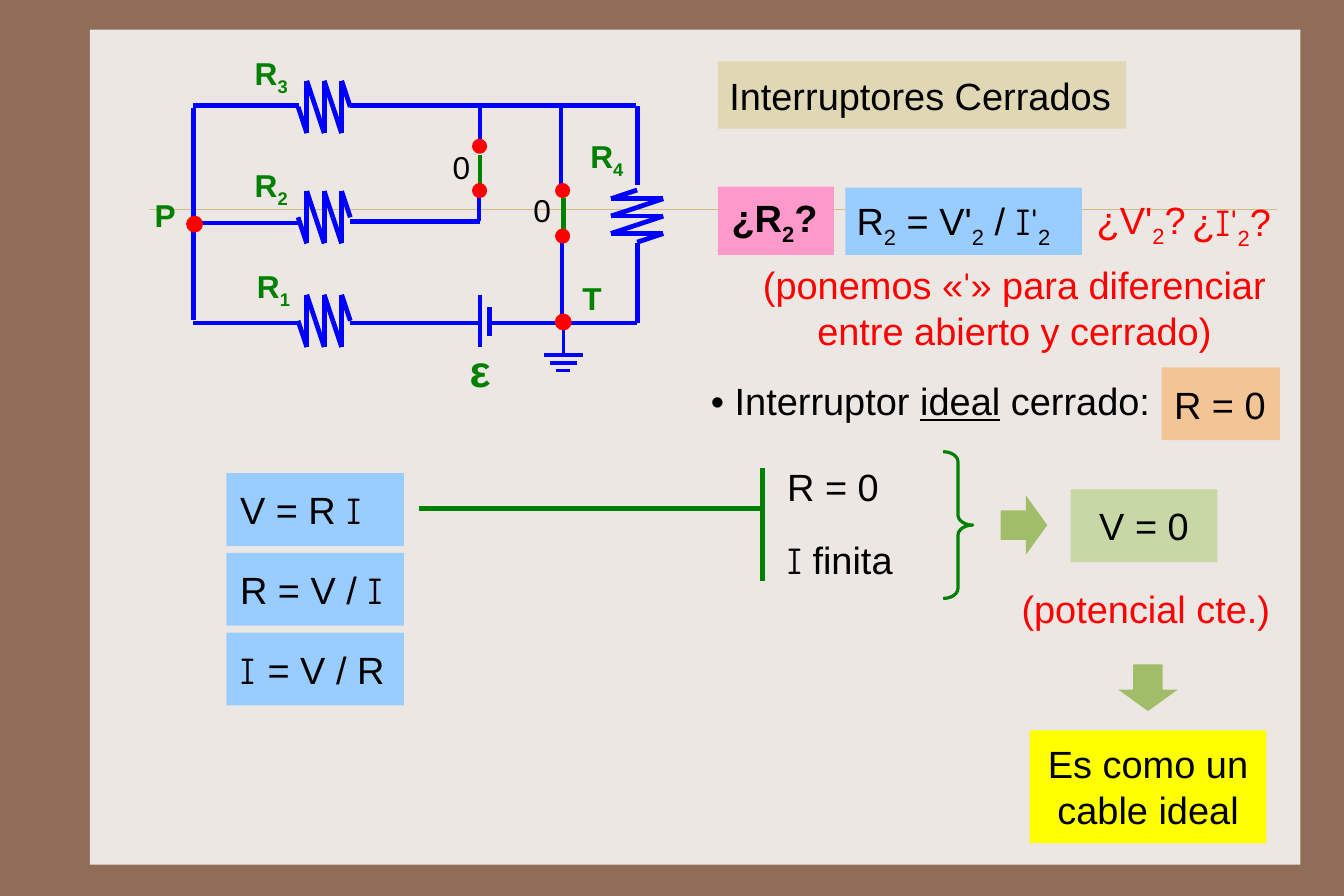
from lxml import etree
from pptx import Presentation
from pptx.dml.color import RGBColor
from pptx.enum.shapes import MSO_CONNECTOR, MSO_SHAPE
from pptx.enum.text import MSO_ANCHOR, MSO_AUTO_SIZE, PP_ALIGN
from pptx.oxml.ns import qn
from pptx.util import Inches, Pt

STRAIGHT = MSO_CONNECTOR.STRAIGHT
RECTANGLE, OVAL = MSO_SHAPE.RECTANGLE, MSO_SHAPE.OVAL
DOWN_ARROW, RIGHT_BRACE = MSO_SHAPE.DOWN_ARROW, MSO_SHAPE.RIGHT_BRACE
TOP, MIDDLE = MSO_ANCHOR.TOP, MSO_ANCHOR.MIDDLE
LEFT, CENTER = PP_ALIGN.LEFT, PP_ALIGN.CENTER
GROW, FIXED = MSO_AUTO_SIZE.SHAPE_TO_FIT_TEXT, MSO_AUTO_SIZE.NONE

BROWN = RGBColor(0x90, 0x6D, 0x58)
CREAM = RGBColor(0xED, 0xE7, 0xE3)
SAND = RGBColor(0xCB, 0xBD, 0x83)
BEIGE = RGBColor(0xE0, 0xD7, 0xB5)
BLACK = RGBColor(0x00, 0x00, 0x00)
RED = RGBColor(0xFF, 0x00, 0x00)
GREEN = RGBColor(0x00, 0x80, 0x00)
BLUE = RGBColor(0x00, 0x00, 0xFF)
SKY = RGBColor(0x99, 0xCC, 0xFF)
PINK = RGBColor(0xFF, 0x99, 0xCC)
ORANGE = RGBColor(0xF3, 0xC4, 0x95)
PALE_GREEN = RGBColor(0xC7, 0xD7, 0xA5)
OLIVE = RGBColor(0xA1, 0xBD, 0x69)
YELLOW = RGBColor(0xFF, 0xFF, 0x00)

BODY_FONT, CURRENT_FONT = "Arial", "Comic Neue"
PLAIN, SUB, CURRENT, UNDERLINED = range(4)  # kinds of text span
CURRENT_I = ("I", CURRENT)
SUB_2 = ("2", SUB)

LABEL_INSET, FORMULA_INSET, NOTE_INSET = (0.1, 0.09), (0.12, 0.12), (0.1, 0.05)


def add_line(shapes, start, end, color=BLUE, width=3):
    line = shapes.add_connector(STRAIGHT, *map(Inches, start + end))
    line.line.color.rgb = color
    line.line.width = Pt(width)
    etree.SubElement(line.element.spPr, qn("a:effectLst"))
    return line


def add_figure(page, kind, place, fill=None, outline=None, width=2):
    figure = page.shapes.add_shape(kind, *map(Inches, place))
    figure.shadow.inherit = False
    if fill is None:
        figure.fill.background()
    else:
        figure.fill.solid()
        figure.fill.fore_color.rgb = fill
    if outline is None:
        figure.line.fill.background()
    else:
        figure.line.color.rgb = outline
        figure.line.width = Pt(width)
    return figure


def write(box, spans, size=24, color=BLACK, bold=False, inset=LABEL_INSET,
          anchor=TOP, align=LEFT, wrap=False, fit=GROW):
    frame = box.text_frame
    frame.word_wrap = wrap
    frame.auto_size = fit
    frame.vertical_anchor = anchor
    frame.margin_left = frame.margin_right = Inches(inset[0])
    frame.margin_top = frame.margin_bottom = Inches(inset[1])
    para = frame.paragraphs[0]
    para.alignment = align
    para.font.name = BODY_FONT
    para.font.size = Pt(size)
    para.font.bold = bold
    para.font.color.rgb = color
    for text, kind in spans:
        span = para.add_run()
        span.text = text
        if kind == SUB:
            span.font._element.set("baseline", "-25000")
        elif kind == CURRENT:
            span.font.name = CURRENT_FONT
        elif kind == UNDERLINED:
            span.font.underline = True


def add_text(page, place, spans, **style):
    write(page.shapes.add_textbox(*map(Inches, place)), spans, **style)


def add_formula(page, place, fill, spans, **style):
    box = add_figure(page, RECTANGLE, place, fill)
    write(box, spans, **{"inset": FORMULA_INSET, "anchor": MIDDLE, **style})


def add_resistor(page, x, y, vertical=False):
    """Zigzag of three teeth that starts at (x, y)."""
    pitch, reach = 0.153, 0.23
    steps = []
    for tooth in range(3):
        along = tooth * pitch
        steps += [(along, 0), (along + pitch / 2, reach), (along + pitch / 2, -reach)]
    steps.append((3 * pitch, 0))
    if vertical:
        corners = [(x - across, y + along) for along, across in steps]
    else:
        corners = [(x + along, y + across) for along, across in steps]
    group = page.shapes.add_group_shape()
    for start, end in zip(corners, corners[1:]):
        add_line(group.shapes, start, end)


def add_arrow(page, left, top, rotation=0):
    arrow = add_figure(page, DOWN_ARROW, (left, top, 0.52, 0.41), OLIVE)
    arrow.adjustments[0], arrow.adjustments[1] = 0.498, 0.458
    arrow.rotation = rotation


def add_backdrop(page):
    page.background.fill.solid()
    page.background.fill.fore_color.rgb = BROWN
    panel = add_figure(page, RECTANGLE, (0.79, 0.26, 10.64, 7.34), CREAM)
    rule = add_line(page.shapes, (1.31, 1.84), (11.22, 1.84), SAND, 0.25)
    for part in (panel, rule):
        page.shapes.title.element.addprevious(part.element)


def add_title(page):
    title = page.shapes.title
    title.left, title.top = Inches(6.31), Inches(0.54)
    title.width, title.height = Inches(3.59), Inches(0.59)
    title.fill.solid()
    title.fill.fore_color.rgb = BEIGE
    write(title, [("Interruptores Cerrados", PLAIN)], anchor=MIDDLE, wrap=True, fit=FIXED)


def add_circuit(page):
    # Wires and battery plates
    wires = [
        ((1.7, 0.93), (2.63, 0.93)), ((3.08, 0.93), (5.59, 0.93)),
        ((1.69, 1.96), (2.62, 1.96)), ((3.08, 1.95), (4.22, 1.95)),
        ((1.7, 2.84), (2.63, 2.84)), ((3.08, 2.84), (4.22, 2.84)),
        ((4.31, 2.84), (5.6, 2.84)), ((1.7, 0.95), (1.7, 2.81)),
        ((4.22, 0.93), (4.22, 1.24)), ((4.21, 1.63), (4.21, 1.94)),
        ((4.93, 0.93), (4.93, 1.63)), ((4.94, 2.13), (4.94, 2.83)),
        ((5.6, 0.93), (5.6, 1.63)), ((5.6, 2.14), (5.6, 2.84)),
        ((4.22, 2.59), (4.22, 3.05)), ((4.3, 2.7), (4.3, 2.95)),
    ]
    for start, end in wires:
        add_line(page.shapes, start, end)
    for y in (0.94, 1.91, 2.82):
        add_resistor(page, 2.62, y)
    add_resistor(page, 5.6, 1.67, vertical=True)

    # Closed switches
    for x, top, bottom in ((4.22, 1.36, 1.63), (4.95, 1.74, 2.01)):
        add_line(page.shapes, (x, top), (x, bottom), GREEN)
    for left, top in ((4.17, 1.24), (4.17, 1.63), (4.9, 1.63), (4.9, 2.03)):
        add_figure(page, OVAL, (left, top, 0.09, 0.09), RED, RED, 3)

    # Ground and nodes
    ground = page.shapes.add_group_shape()
    add_line(ground.shapes, (4.95, 2.85), (4.95, 3.12), width=2)
    for y, half in ((3.12, 0.17), (3.19, 0.12), (3.26, 0.06)):
        add_line(ground.shapes, (4.95 - half, y), (4.95 + half, y), width=2)
    for left, top in ((4.89, 2.77), (1.65, 1.91)):
        add_figure(page, OVAL, (left, top, 0.12, 0.12), RED, RED)

    # Labels
    for number, left, top in (("1", 2.16, 2.26), ("2", 2.14, 1.37),
                              ("3", 2.14, 0.38), ("4", 5.09, 1.11)):
        add_text(page, (left, top, 0.5, 0.51), [("R", PLAIN), (number, SUB)],
                 size=20, color=GREEN, bold=True)
    for letter, left, top in (("P", 1.26, 1.63), ("T", 5.02, 2.36)):
        add_text(page, (left, top, 0.38, 0.51), [(letter, PLAIN)],
                 size=20, color=GREEN, bold=True)
    for left, top in ((3.88, 1.21), (4.59, 1.59)):
        add_text(page, (left, top, 0.35, 0.51), [("0", PLAIN)], size=20)
    add_text(page, (4.03, 2.97, 0.4, 0.57), [("ε", PLAIN)],
             size=28, color=GREEN, bold=True, inset=NOTE_INSET)


def add_question(page):
    add_formula(page, (6.31, 1.64, 1.02, 0.6), PINK,
                [("¿R", PLAIN), SUB_2, ("?", PLAIN)], bold=True, inset=(0.12, 0.1))
    add_formula(page, (7.43, 1.65, 2.08, 0.59), SKY,
                [("R", PLAIN), SUB_2, (" = V'", PLAIN), SUB_2, (" / ", PLAIN),
                 ("I'", CURRENT), SUB_2], inset=LABEL_INSET, anchor=TOP)
    add_text(page, (9.54, 1.68, 1.01, 0.5), [("¿V'", PLAIN), SUB_2, ("?", PLAIN)],
             color=RED, inset=NOTE_INSET)
    add_text(page, (10.38, 1.7, 1.03, 0.5),
             [("¿", PLAIN), ("I'", CURRENT), SUB_2, ("?", PLAIN)],
             color=RED, inset=NOTE_INSET)
    add_text(page, (6.52, 2.25, 4.79, 0.91),
             [("(ponemos «", PLAIN), ("'", CURRENT),
              ("» para diferenciar entre abierto y cerrado)", PLAIN)],
             color=RED, inset=NOTE_INSET, align=CENTER, wrap=True)


def add_reasoning(page):
    # Ideal closed switch
    add_text(page, (6.15, 3.23, 4.1, 0.51),
             [("• Interruptor ", PLAIN), ("ideal", UNDERLINED), (" cerrado:", PLAIN)])
    add_formula(page, (10.21, 3.23, 1.04, 0.64), ORANGE, [("R = 0", PLAIN)],
                inset=(0.11, 0.12))

    # Ohm's law in its three forms
    laws = ([("V = R ", PLAIN), CURRENT_I], [("R = V / ", PLAIN), CURRENT_I],
            [("I ", CURRENT), ("= V / R", PLAIN)])
    for row, law in enumerate(laws):
        add_formula(page, (1.99, 4.16 + 0.7 * row, 1.56, 0.64), SKY, law)

    # Conditions
    bracket = page.shapes.add_group_shape()
    add_line(bracket.shapes, (3.68, 4.47), (6.68, 4.47), GREEN)
    add_line(bracket.shapes, (6.7, 4.11), (6.7, 5.11), GREEN)
    add_text(page, (6.82, 3.98, 1.05, 0.58), [("R = 0", PLAIN)])
    add_text(page, (6.82, 4.63, 1.25, 0.58), [CURRENT_I, (" finita", PLAIN)])
    brace = add_figure(page, RIGHT_BRACE, (8.29, 3.97, 0.26, 1.29), outline=GREEN)
    brace.adjustments[0] = 0.34

    # Conclusion
    add_arrow(page, 8.74, 4.41, rotation=270)
    add_formula(page, (9.41, 4.3, 1.29, 0.64), PALE_GREEN, [("V = 0", PLAIN)],
                align=CENTER, wrap=True)
    add_text(page, (8.88, 5.06, 2.41, 0.59), [("(potencial cte.)", PLAIN)], color=RED)
    add_arrow(page, 9.83, 5.84)
    add_formula(page, (9.05, 6.42, 2.08, 0.99), YELLOW,
                [("Es como un cable ideal", PLAIN)],
                inset=LABEL_INSET, anchor=TOP, align=CENTER, wrap=True)


def main():
    deck = Presentation()
    deck.slide_width, deck.slide_height = Inches(11.8125), Inches(7.875)
    page = deck.slides.add_slide(deck.slide_layouts[5])
    add_backdrop(page)
    add_title(page)
    add_circuit(page)
    add_question(page)
    add_reasoning(page)
    deck.save("out.pptx")


if __name__ == "__main__":
    main()
